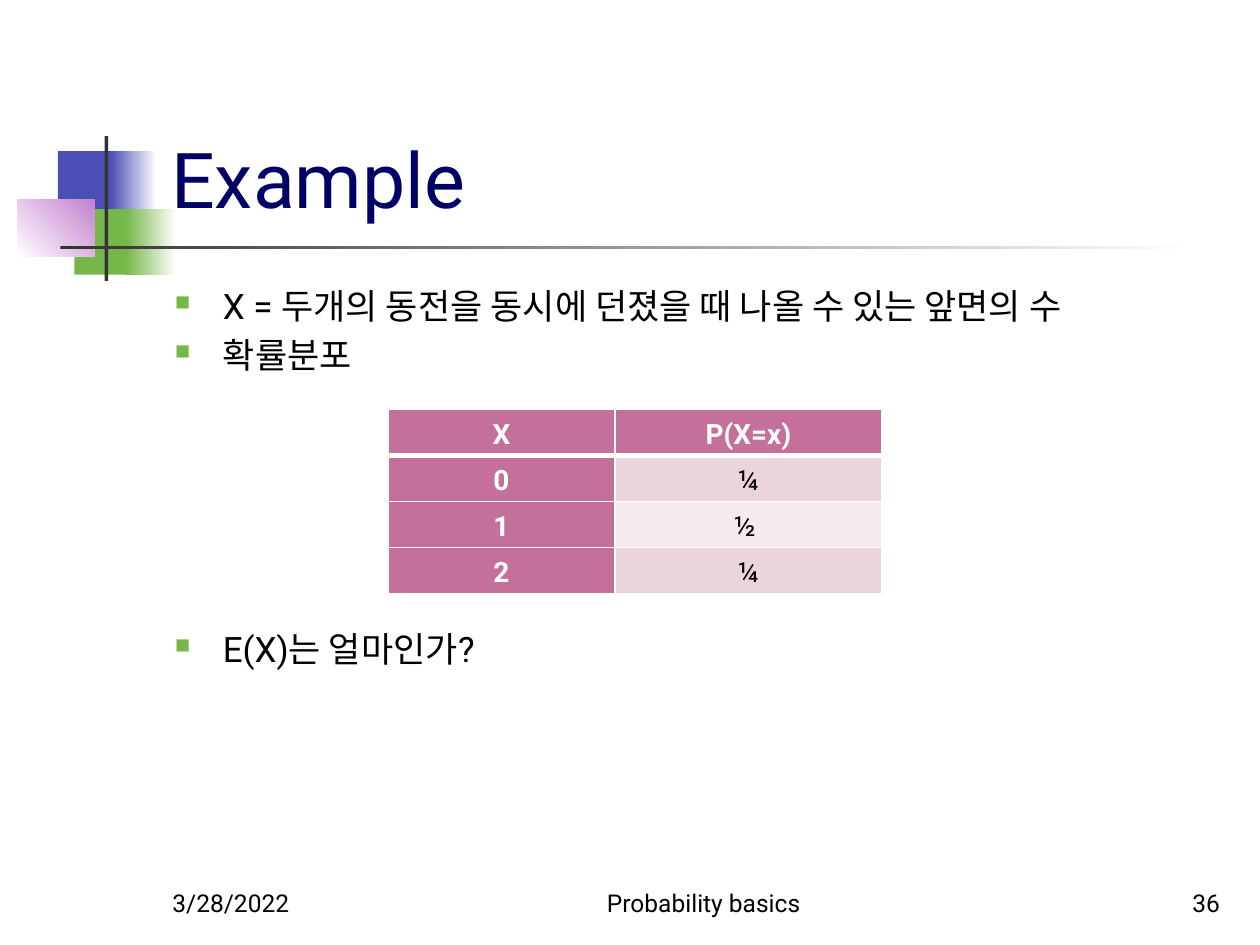
from lxml.etree import SubElement
from pptx import Presentation
from pptx.dml.color import RGBColor
from pptx.enum.shapes import MSO_SHAPE as Shape
from pptx.enum.text import MSO_ANCHOR as Anchor, PP_ALIGN as Align
from pptx.oxml.ns import qn
from pptx.util import Inches, Pt

THEME = {
    "font": "Roboto",
    "title": {"size": 44, "color": "000066"},
    "body": {"size": 20, "color": "000000"},
    "footer": {"size": 14, "color": "000000"},
    "head": {"size": 16, "color": "FFFFFF", "bold": True},
    "value": {"size": 16, "color": "000000", "bold": False},
    "blue": "4B4EB5", "green": "76B749", "violet": "C481CF",
    "dark": "333333", "white": "FFFFFF",
    "table_head": "C4709A", "bands": ("EAD5DE", "F5EBEF"),
}

DECORATION = [
    ((0.46, 1.2, 0.48, 0.52), ("blue",), 0),
    ((0.88, 1.2, 0.36, 0.52), ("blue", "white"), 0),
    ((0.59, 1.66, 0.46, 0.52), ("green",), 0),
    ((1, 1.66, 0.4, 0.52), ("green", "white"), 0),
    ((0.14, 1.58, 0.61, 0.46), ("white", "violet"), 45),
    ((0.83, 1.08, 0.03, 1.15), ("dark",), 0),
    ((0.48, 1.95, 9, 0.03), ("dark", "white"), 0),
]
TITLE = "Example"
BULLETS = [
    ("X = 두개의 동전을 동시에 던졌을 때 나올 수 있는 앞면의 수", 0),
    ("확률분포", 4),
    ("E(X)는 얼마인가?", 144),
]
FOOTERS = [
    ((1.27, 6.83, 2.08, 0.5), "3/28/2022", Align.LEFT),
    ((4, 6.83, 3.17, 0.5), "Probability basics", Align.CENTER),
    ((7.7, 6.83, 2.08, 0.5), "36", Align.RIGHT),
]
DISTRIBUTION = [("X", "P(X=x)"), ("0", "¼"), ("1", "½ "), ("2", "¼")]
TABLE_PLACE = (3.08, 3.25, 3.92, 1.46)
COLUMN_WIDTHS = (1.8, 2.12)


def apply(target, values):
    for name, value in values.items():
        setattr(target, name, value)


def rgb(name):
    return RGBColor.from_string(THEME.get(name, name))


def inches(place):
    return [Inches(length) for length in place]


def add_span(para, text, style):
    look = THEME[style]
    span = para.add_run()
    span.text = text
    apply(span.font, {"name": THEME["font"], "size": Pt(look["size"]),
                      "bold": look.get("bold", False)})
    span.font.color.rgb = rgb(look["color"])


def add_box(page, place, anchor):
    frame = page.shapes.add_textbox(*inches(place)).text_frame
    apply(frame, {"word_wrap": True, "vertical_anchor": anchor})
    return frame


def add_line_text(page, place, text, style, align=Align.LEFT):
    para = add_box(page, place, Anchor.BOTTOM).paragraphs[0]
    para.alignment = align
    add_span(para, text, style)


def add_decoration(page):
    for place, colors, angle in DECORATION:
        block = page.shapes.add_shape(Shape.RECTANGLE, *inches(place))
        block.shadow.inherit = False
        block.line.fill.background()
        if len(colors) == 1:
            block.fill.solid()
            block.fill.fore_color.rgb = rgb(colors[0])
            continue
        block.fill.gradient()
        block.fill.gradient_angle = angle
        for position, (stop, color) in enumerate(zip(block.fill.gradient_stops, colors)):
            stop.position = position
            stop.color.rgb = rgb(color)


def set_bullet(para):
    props = para._p.get_or_add_pPr()
    props.set("marL", str(Inches(0.38)))
    props.set("indent", str(Inches(-0.38)))
    color = SubElement(props, qn("a:buClr"))
    SubElement(color, qn("a:srgbClr"), val=THEME["green"])
    SubElement(props, qn("a:buSzPct"), val="60000")
    SubElement(props, qn("a:buChar"), char="■")


def add_bullets(page):
    frame = add_box(page, (1.29, 2.21, 8.5, 4.5), Anchor.TOP)
    for index, (text, gap) in enumerate(BULLETS):
        para = frame.add_paragraph() if index else frame.paragraphs[0]
        set_bullet(para)
        para.space_before = Pt(gap)
        add_span(para, text, "body")


def set_borders(cell, widths):
    props = cell._tc.get_or_add_tcPr()
    for side, width in widths.items():
        line = SubElement(props, qn(f"a:ln{side}"), w=str(Pt(width)))
        fill = SubElement(line, qn("a:solidFill"))
        SubElement(fill, qn("a:srgbClr"), val=THEME["white"])


def add_distribution(page):
    rows, columns = len(DISTRIBUTION), len(COLUMN_WIDTHS)
    table = page.shapes.add_table(rows, columns, *inches(TABLE_PLACE)).table
    for column, width in zip(table.columns, COLUMN_WIDTHS):
        column.width = Inches(width)
    for row, texts in enumerate(DISTRIBUTION):
        for column, text in enumerate(texts):
            cell = table.cell(row, column)
            is_head = row == 0 or column == 0
            set_borders(cell, {"L": 1, "R": 1, "T": 3 if row == 1 else 1,
                               "B": 3 if row == 0 else 1})
            cell.fill.solid()
            cell.fill.fore_color.rgb = rgb(
                "table_head" if is_head else THEME["bands"][(row - 1) % 2])
            apply(cell, {"vertical_anchor": Anchor.MIDDLE,
                         "margin_left": Inches(0.07), "margin_right": Inches(0.07),
                         "margin_top": 0, "margin_bottom": 0})
            para = cell.text_frame.paragraphs[0]
            apply(para, {"alignment": Align.CENTER, "line_spacing": 1.15})
            add_span(para, text, "head" if is_head else "value")


def main():
    deck = Presentation()
    apply(deck, {"slide_width": Inches(10), "slide_height": Inches(7.5)})
    page = deck.slides.add_slide(deck.slide_layouts[6])
    add_decoration(page)
    add_line_text(page, (1.26, 0.23, 8.52, 1.6), TITLE, "title")
    add_bullets(page)
    for place, text, align in FOOTERS:
        add_line_text(page, place, text, "footer", align)
    add_distribution(page)
    deck.save("out.pptx")


if __name__ == "__main__":
    main()
